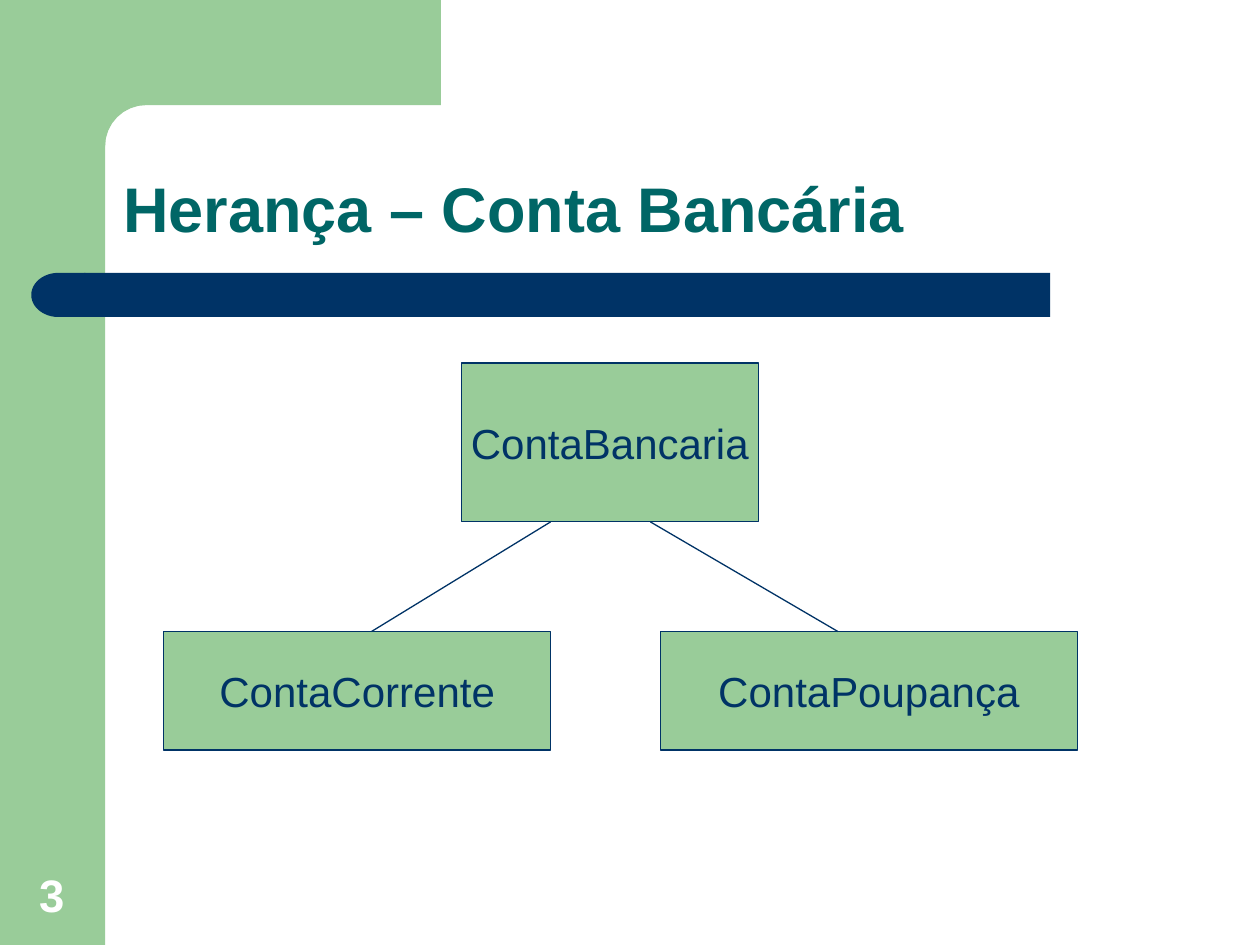
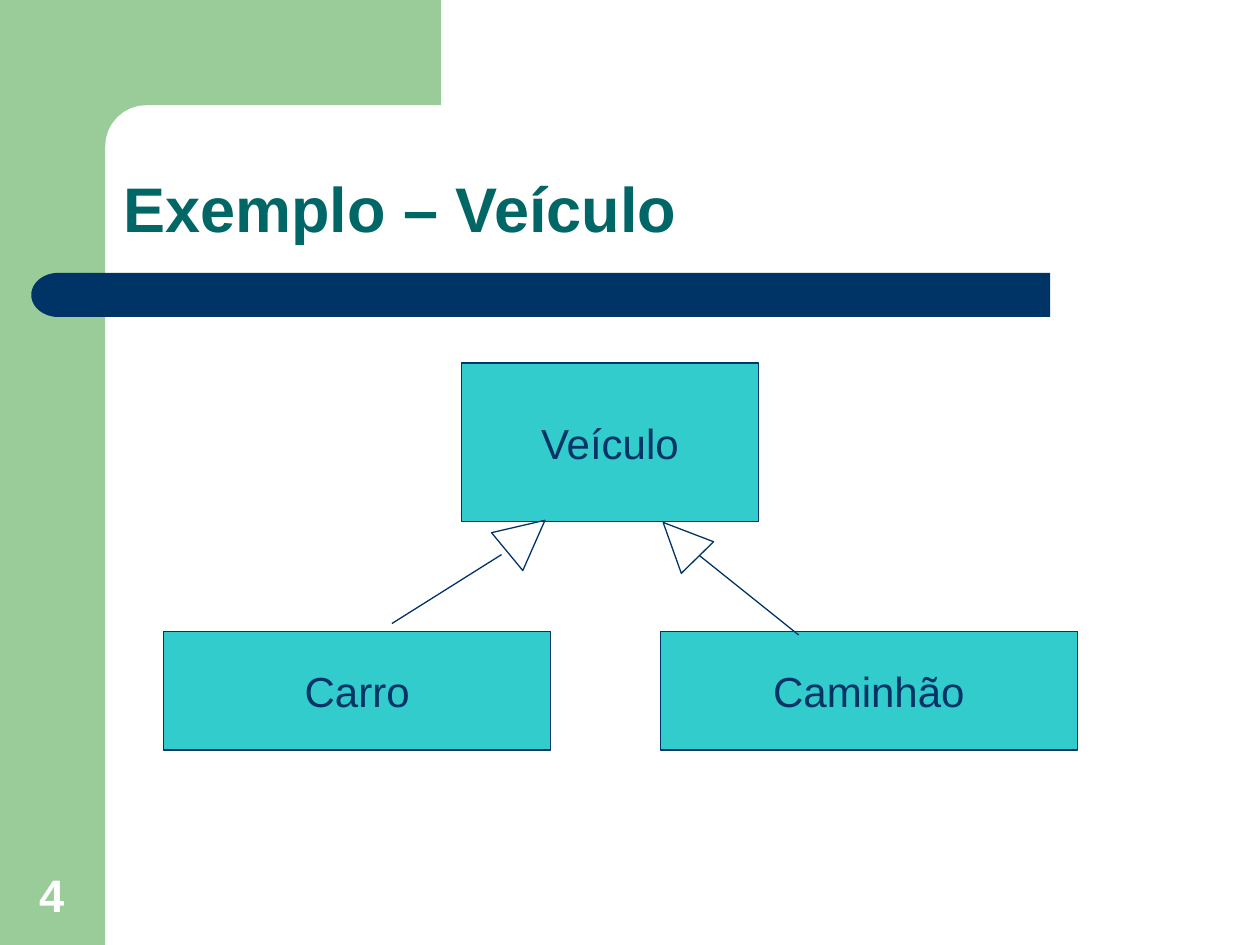
from math import cos, pi, sin

from pptx import Presentation
from pptx.dml.color import RGBColor
from pptx.enum.shapes import MSO_CONNECTOR as LINE, MSO_SHAPE as SHAPE
from pptx.enum.text import MSO_ANCHOR as ANCHOR, PP_ALIGN as ALIGN
from pptx.oxml.ns import qn
from pptx.util import Cm, Pt
from lxml.etree import SubElement

COLORS = {"green": "99CC99", "navy": "003366", "title": "006666",
          "cyan": "33CCCC", "white": "FFFFFF"}
FIRST_NUMBER = 3
LINE_WIDTH = Pt(0.75)

# Class boxes: left, top, width, height in cm; the parent class comes first
CLASS_BOXES = [(9.3, 7.32, 5.99, 3.2), (3.3, 12.73, 7.8, 2.39), (13.31, 12.73, 8.41, 2.39)]

# Links run from the parent to a child; heads add left, top, width, height and rotation
DIAGRAMS = [
    {"title": "Herança – Conta Bancária", "fill": "green",
     "classes": ["ContaBancaria", "ContaCorrente", "ContaPoupança"],
     "links": [(11.1, 10.52, 7.49, 12.73), (13.11, 10.52, 16.89, 12.73)],
     "heads": []},
    {"title": "Exemplo – Veículo", "fill": "cyan",
     "classes": ["Veículo", "Carro", "Caminhão"],
     "links": [(10.11, 11.18, 7.9, 12.57), (14.1, 11.2, 16.1, 12.8)],
     "heads": [(10.11, 10.31, 0.99, 0.99, 50.4), (13.26, 10.39, 0.91, 0.99, 315.7)]},
]


def write(holder, text, size, color, bold=False, align=ALIGN.LEFT,
          anchor=ANCHOR.BOTTOM, wrap=True, spacing=None):
    frame = holder.text_frame
    frame.word_wrap = wrap
    frame.vertical_anchor = anchor
    paragraph = frame.paragraphs[0]
    paragraph.alignment = align
    paragraph.line_spacing = spacing
    run = paragraph.add_run()
    run.text = text
    run.font.name = "Arial"
    run.font.size = Pt(size)
    run.font.bold = bold
    run.font.color.rgb = RGBColor.from_string(COLORS[color])


def paint(shape, fill=None, outline=None):
    """Set fill and outline by colour name, None meaning none, and drop the shadow."""
    shape.shadow.inherit = False
    for part, color in ((shape.fill, fill), (shape.line.fill, outline)):
        if color:
            part.solid()
            part.fore_color.rgb = RGBColor.from_string(COLORS[color])
        else:
            part.background()
    if outline:
        shape.line.width = LINE_WIDTH
    return shape


prs = Presentation()
prs.slide_width, prs.slide_height = Cm(25.4), Cm(19.05)

# Top band outline, with a rounded inner corner where it meets the side band
side_width, band_height, band_right, radius = 2.12, 2.12, 8.89, 0.83
corner = [(side_width + radius * (1 - sin(step * pi / 16)),
           band_height + radius * (1 - cos(step * pi / 16))) for step in range(9)]
top_band = [(band_right, 0), (band_right, band_height), *corner,
            (1.27, band_height + radius), (1.27, 0)]
top_band = [(Cm(x), Cm(y)) for x, y in top_band]

for number, diagram in enumerate(DIAGRAMS, FIRST_NUMBER):
    slide = prs.slides.add_slide(prs.slide_layouts[6])
    shapes = slide.shapes

    # Bands
    paint(shapes.add_shape(SHAPE.RECTANGLE, 0, 0, Cm(side_width), prs.slide_height), "green")
    outline = shapes.build_freeform(*top_band[0])
    outline.add_line_segments(top_band[1:], close=True)
    paint(outline.convert_to_shape(), "green")
    paint(shapes.add_shape(SHAPE.RECTANGLE, Cm(1.7), Cm(5.5), Cm(19.47), Cm(0.89)), "navy")
    bar_end = shapes.add_shape(SHAPE.FLOWCHART_DELAY, Cm(0.63), Cm(5.5), Cm(1.09), Cm(0.89))
    paint(bar_end, "navy").rotation = 180

    # Slide number and title
    page = shapes.add_textbox(Cm(0.23), Cm(17.35), Cm(1.63), Cm(1.35))
    write(page, str(number), 26, "white", bold=True, align=ALIGN.CENTER)
    title = shapes.add_textbox(Cm(2.31), Cm(2.31), Cm(21.62), Cm(2.77))
    title.text_frame.margin_left = Cm(0.18)
    write(title, diagram["title"], 36, "title", bold=True, spacing=0.9)

    # Class diagram
    for class_name, box in zip(diagram["classes"], CLASS_BOXES):
        class_box = shapes.add_shape(SHAPE.RECTANGLE, *map(Cm, box))
        paint(class_box, diagram["fill"], "navy")
        write(class_box, class_name, 24, "navy", align=ALIGN.CENTER,
              anchor=ANCHOR.MIDDLE, wrap=False)
    for ends in diagram["links"]:
        link = shapes.add_connector(LINE.STRAIGHT, *map(Cm, ends))
        link.line.color.rgb = RGBColor.from_string(COLORS["navy"])
        link.line.width = LINE_WIDTH
        SubElement(link._element.spPr, qn("a:effectLst"))
    for *place, angle in diagram["heads"]:
        head = shapes.add_shape(SHAPE.ISOSCELES_TRIANGLE, *map(Cm, place))
        paint(head, outline="navy").rotation = angle

prs.save("out.pptx")
